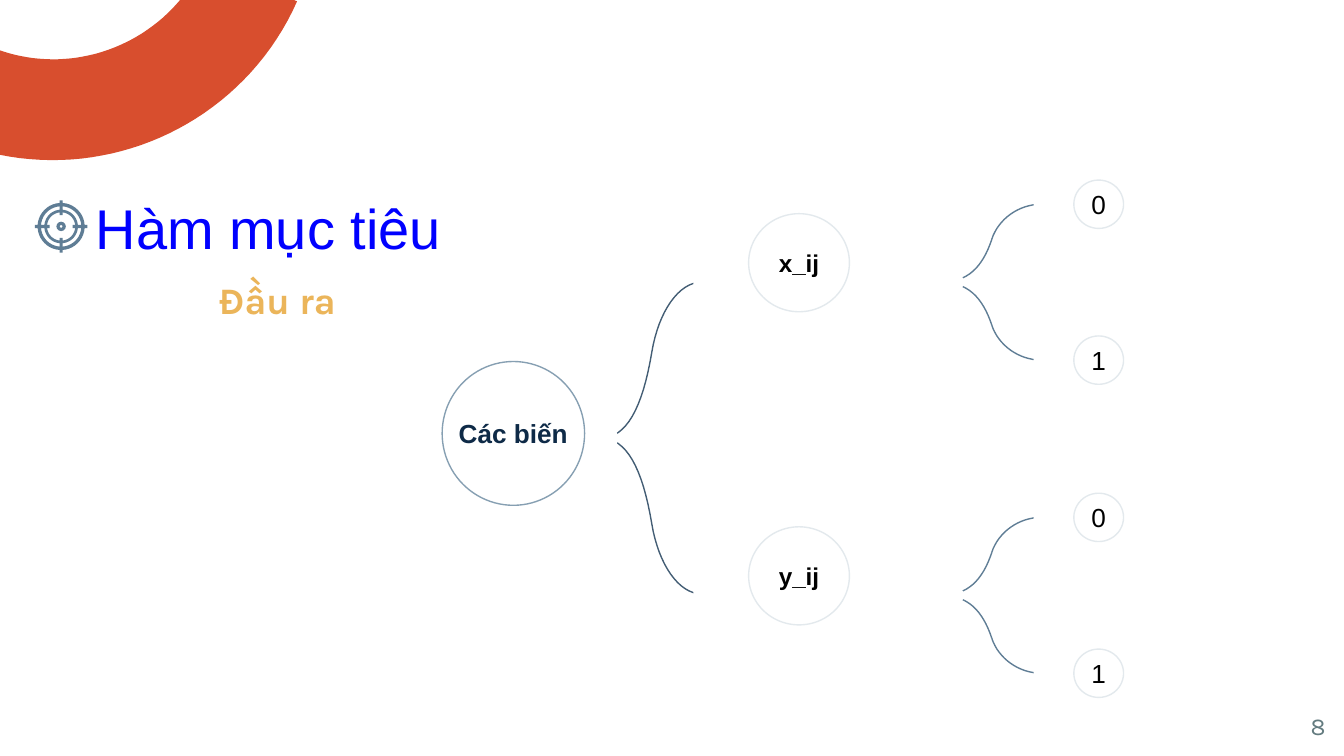
import math
import pptx
import pptx.util
import pptx.dml.color
import pptx.enum.shapes
import pptx.enum.text

PX = 9144  # EMU per px, 100 px to the inch
COLORS = {
    "ring": "D84E2E", "title": "0000FF", "subtitle": "EBB55A", "icon": "5F7D95",
    "root": "0E2A47", "root_line": "869FB2", "root_curve": "435D74",
    "node_line": "E3E9ED", "branch_curve": "5F7D95",
    "text": "000000", "white": "FFFFFF", "page": "637B7F",
}
SHAPE = pptx.enum.shapes.MSO_SHAPE
ALIGN = pptx.enum.text.PP_ALIGN


def rgb(name):
    return pptx.dml.color.RGBColor.from_string(COLORS[name])


def paint(s, fill=None, line=None):
    s.shadow.inherit = False
    if fill:
        s.fill.solid()
        s.fill.fore_color.rgb = rgb(fill)
    else:
        s.fill.background()
    if line:
        s.line.color.rgb = rgb(line)
        s.line.width = pptx.util.Pt(0.75)
    else:
        s.line.fill.background()
    return s


def write(s, text, size, color, font="Arial", bold=False, align=ALIGN.CENTER):
    p = s.text_frame.paragraphs[0]
    p.text = text
    p.alignment = align
    f = p.runs[0].font
    f.name, f.size, f.bold = font, pptx.util.Pt(size), bold
    f.color.rgb = rgb(color)


def preset(slide, kind, x, y, w, h, fill=None, line=None):
    s = slide.shapes.add_shape(kind, *(round(v * PX) for v in (x, y, w, h)))
    return paint(s, fill, line)


def outline(slide, contours, fill=None, line=None):
    contours = [[(x * PX, y * PX) for x, y in c] for c in contours]
    fb = slide.shapes.build_freeform(*contours[0][0])
    for i, points in enumerate(contours):
        if i:
            fb.move_to(*points[0])
        fb.add_line_segments(points[1:], close=fill is not None)
    return paint(fb.convert_to_shape(), fill, line)


def bezier(a, b, c, d, steps=16):
    points = []
    for i in range(steps + 1):
        t = i / steps
        k = ((1 - t) ** 3, 3 * t * (1 - t) ** 2, 3 * t * t * (1 - t), t ** 3)
        points.append(tuple(sum(m * q[n] for m, q in zip(k, (a, b, c, d)))
                            for n in (0, 1)))
    return points


def circle_node(slide, x, y, w, h, line, text, size, color="text", bold=False):
    s = preset(slide, SHAPE.OVAL, x, y, w, h, line=line)
    tf = s.text_frame
    tf.word_wrap = False
    tf.margin_left = tf.margin_right = tf.margin_top = tf.margin_bottom = 0
    tf.vertical_anchor = pptx.enum.text.MSO_ANCHOR.MIDDLE
    write(s, text, size, color, bold=bold)


def end_cap(slide, x, y):
    # White wedge that trims the tip of a curve
    outline(slide, [[(x - 6, y - 9), (x + 7, y), (x - 6, y + 8)]], fill="white")


def text_box(slide, x, y, w, h, text, size, color, font, bold=False,
             align=ALIGN.LEFT):
    s = slide.shapes.add_textbox(*(v * PX for v in (x, y, w, h)))
    tf = s.text_frame
    tf.word_wrap = True
    tf.margin_left = tf.margin_right = tf.margin_top = tf.margin_bottom = 10 * PX
    write(s, text, size, color, font, bold, align)


def corner_ring(slide, x, y, w, h, angle):
    # Half ring, drawn upright about the box centre and then turned
    c = complex(x + w / 2, y + h / 2)
    turn = complex(math.cos(math.radians(angle)), -math.sin(math.radians(angle)))
    points = (bezier((-39, 103), (61, 146), (177, 100), (221, 1), 40)
              + bezier((152, -29), (125, 32), (53, 61), (-9, 34), 40))
    turned = [(complex(*q) - c) * turn + c for q in points]
    s = outline(slide, [[(q.real, q.imag) for q in turned]], fill="ring")
    s.rotation = angle


def target_icon(slide, x, y, w):
    cx, cy, unit, half = x + w / 2, y + w / 2, w / 39, 1.2

    def arc(r, quarter):
        gap = math.asin(half / r)
        angles = [gap + (math.pi / 2 - 2 * gap) * i / 10 for i in range(11)]
        return [(r, a + quarter * math.pi / 2) for a in angles]

    def ticked_circle(r, tip):
        points = []
        for quarter in range(4):
            ends = arc(math.hypot(tip, half), quarter)
            points += [ends[0], *arc(r, quarter), ends[-1]]
        return points

    dot = preset(slide, SHAPE.DONUT, cx - 3.5 * unit, cy - 3.5 * unit,
                 7 * unit, 7 * unit, fill="icon")
    dot.adjustments[0] = 0.35
    contours = [ticked_circle(17.5, 19.5), ticked_circle(10.5, 8.5)]
    contours += [arc(15, n) + arc(12.5, n)[::-1] for n in range(4)]
    outline(slide, [[(cx + r * unit * math.cos(a), cy + r * unit * math.sin(a))
                     for r, a in c] for c in contours], fill="icon")


def root(slide, x, y, w, h):
    circle_node(slide, x, y, w, h, "root_line", "Các biến", 14, "root", True)
    cx, cy = x + 118, y + 57
    for sign in (-1, 1):
        lower = bezier((cx, cy), (cx + 19, cy), (cx + 31, cy + sign * 22),
                       (cx + 38, cy + sign * 64))
        upper = bezier((cx + 38, cy + sign * 64), (cx + 43, cy + sign * 94),
                       (cx + 58, cy + sign * 116), (cx + 75, cy + sign * 116))
        outline(slide, [lower + upper[1:]], line="root_curve")
        end_cap(slide, cx + 75, cy + sign * 116)
    preset(slide, SHAPE.OVAL, cx - 5, cy - 9, 18, 18, fill="white")


def branch(slide, x, y, name):
    circle_node(slide, x, y + 25, 75, 73, "node_line", name, 13, bold=True)
    cx, cy = x + 143, y + 76
    for sign, value in ((-1, "0"), (1, "1")):
        stalk = bezier((cx, cy), (cx + 20, cy), (cx + 31, cy + sign * 11),
                       (cx + 38, cy + sign * 32))
        tip = bezier((cx + 38, cy + sign * 32), (cx + 43, cy + sign * 47),
                     (cx + 58, cy + sign * 58), (cx + 75, cy + sign * 58))
        for curve in (stalk, tip):
            outline(slide, [curve], line="branch_curve")
        end_cap(slide, cx + 75, cy + sign * 58)
        circle_node(slide, x + 242, cy + sign * 58 - 18, 37, 36,
                    "node_line", value, 14)
    preset(slide, SHAPE.OVAL, cx - 2, cy - 9, 19, 18, fill="white")


def main():
    prs = pptx.Presentation()
    prs.slide_width = 1000 * PX
    prs.slide_height = prs.slide_width * 9 // 16
    slide = prs.slides.add_slide(prs.slide_layouts[6])

    # Heading
    corner_ring(slide, -8, -47, 198, 198, 203.5)
    text_box(slide, -183, 134, 521, 63, "Hàm mục tiêu", 30, "title", "Arial",
             align=ALIGN.RIGHT)
    target_icon(slide, 26, 149, 39)

    # Variable tree
    root(slide, 329, 269, 106, 107)
    for i, name in enumerate(("x_ij", "y_ij")):
        branch(slide, 557, 134 + 233 * i, name)

    # Subtitle and page number
    text_box(slide, 153, 196, 119, 48, "Đầu ra", 20, "subtitle", "Karla", bold=True)
    text_box(slide, 936, 519, 60, 43, "8", 13, "page", "Karla", align=ALIGN.RIGHT)
    prs.save("out.pptx")


if __name__ == "__main__":
    main()
